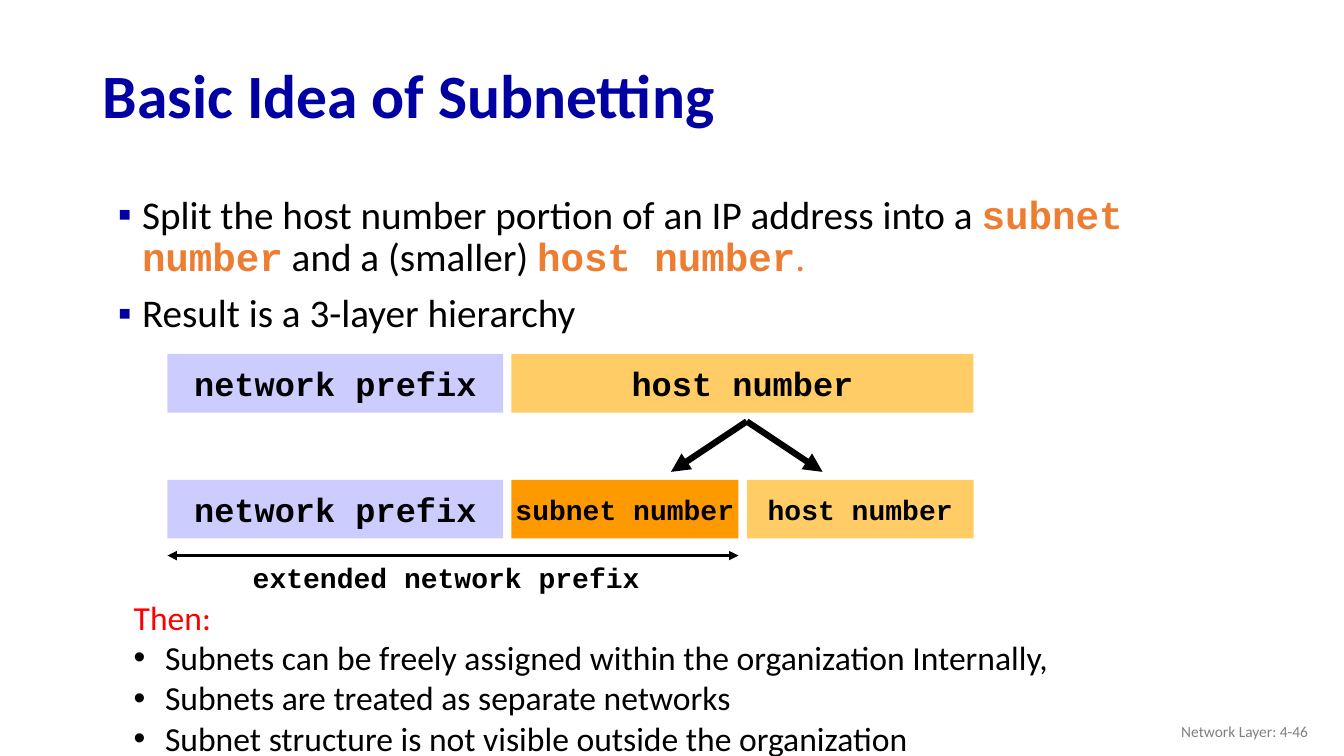
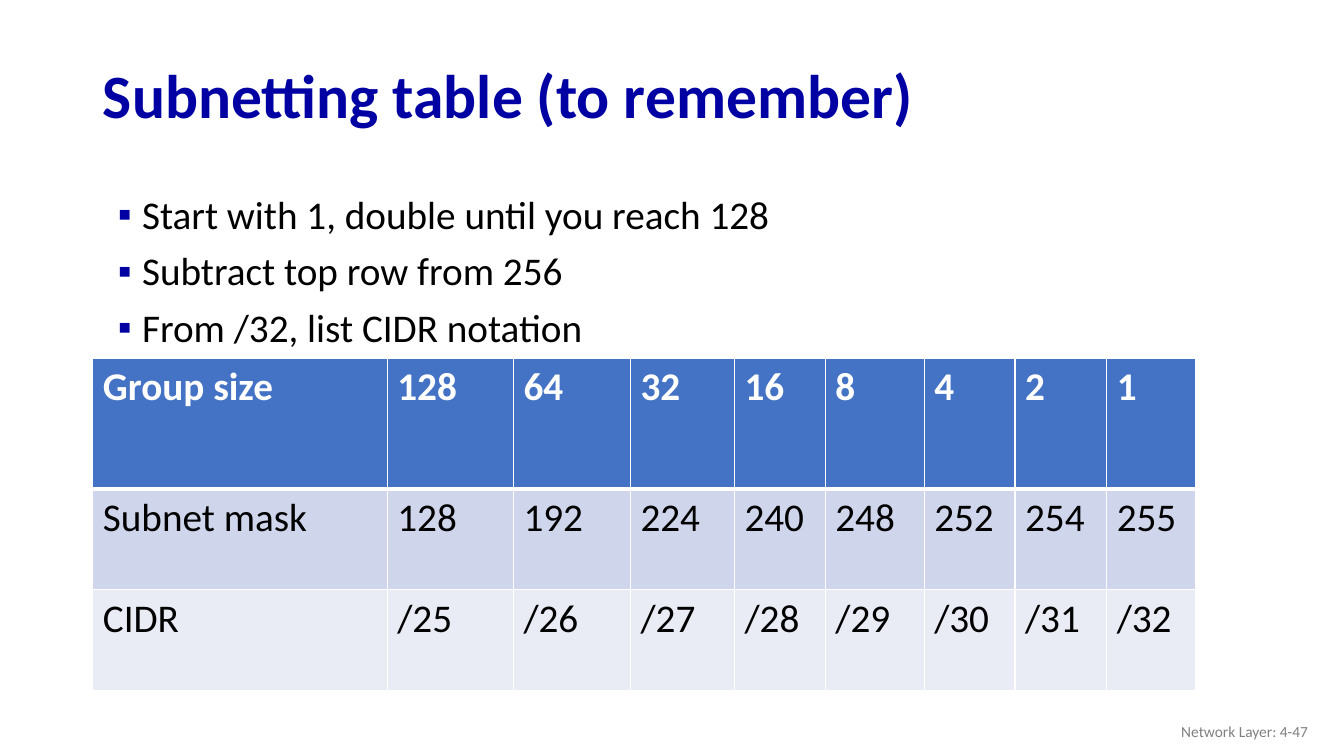
from lxml import etree
from pptx import Presentation
from pptx.dml.color import RGBColor
from pptx.enum.shapes import MSO_CONNECTOR, MSO_SHAPE
from pptx.enum.text import MSO_ANCHOR, MSO_AUTO_SIZE, PP_ALIGN
from pptx.oxml.ns import qn
from pptx.util import Cm, Pt

RECTANGLE = MSO_SHAPE.RECTANGLE
STRAIGHT = MSO_CONNECTOR.STRAIGHT
MIDDLE = MSO_ANCHOR.MIDDLE
LEFT, CENTER, RIGHT = PP_ALIGN.LEFT, PP_ALIGN.CENTER, PP_ALIGN.RIGHT
FIXED_SIZE = MSO_AUTO_SIZE.NONE

NAVY = RGBColor(0x00, 0x00, 0xA3)
BLACK = RGBColor(0x00, 0x00, 0x00)
WHITE = RGBColor(0xFF, 0xFF, 0xFF)
GREY = RGBColor(0x80, 0x80, 0x80)
RED = RGBColor(0xFF, 0x00, 0x00)
ORANGE = RGBColor(0xED, 0x7D, 0x31)
LAVENDER = RGBColor(0xCC, 0xCC, 0xFF)
LIGHT_AMBER = RGBColor(0xFF, 0xCC, 0x66)
AMBER = RGBColor(0xFF, 0x99, 0x00)
HEADER_BLUE = RGBColor(0x44, 0x72, 0xC4)
BAND_DARK = RGBColor(0xCF, 0xD5, 0xEA)
BAND_LIGHT = RGBColor(0xE9, 0xEB, 0xF5)

SANS, MONO = "Calibri", "Courier New"

# Content: each point is a list of (text, font, colour, bold) runs
IDEA_TITLE = "Basic Idea of Subnetting"
IDEA_POINTS = [
    [("Split the host number portion of an IP address into a ", SANS, BLACK, False),
     ("subnet number", MONO, ORANGE, True),
     (" and a (smaller) ", SANS, BLACK, False),
     ("host number", MONO, ORANGE, True),
     (".", SANS, ORANGE, False)],
    [("Result is a 3-layer hierarchy", SANS, BLACK, False)],
]
# Each address row: (top in cm, [(label, width in cm, size, fill)])
ADDRESS_ROWS = [
    (8.92, [("network prefix", 8.46, 24, LAVENDER),
            ("host number", 11.64, 24, LIGHT_AMBER)]),
    (12.09, [("network prefix", 8.46, 24, LAVENDER),
             ("subnet number", 5.72, 20, AMBER),
             ("host number", 5.72, 20, LIGHT_AMBER)]),
]
EXTENDED_LABEL = "extended network prefix"
THEN_LABEL = "Then:"
THEN_POINTS = [
    "Subnets can be freely assigned within the organization Internally,",
    "Subnets are treated as separate networks",
    "Subnet structure is not visible outside the organization",
]

TABLE_TITLE = "Subnetting table (to remember)"
TABLE_POINTS = [
    [(step, SANS, BLACK, False)] for step in (
        "Start with 1, double until you reach 128",
        "Subtract top row from 256",
        "From /32, list CIDR notation")
]
SUBNET_TABLE = [
    ["Group size", "128", "64", "32", "16", "8", "4", "2", "1"],
    ["Subnet mask", "128", "192", "224", "240", "248", "252", "254", "255"],
    ["CIDR", "/25", "/26", "/27", "/28", "/29", "/30", "/31", "/32"],
]
COLUMN_WIDTHS = [7.42, 3.18, 2.95, 2.62, 2.29, 2.49, 2.29, 2.31, 2.24]
# Each table row: (height in cm, fill, text colour, bold)
ROW_STYLES = [(3.3, HEADER_BLUE, WHITE, True),
              (2.54, BAND_DARK, BLACK, False),
              (2.54, BAND_LIGHT, BLACK, False)]

# Geometry in cm
MARGIN, CONTENT_WIDTH = 2.34, 29.21
BAR_LEFT, BAR_HEIGHT, BAR_GAP = 4.22, 1.48, 0.21


def style(font, size, color, name=SANS, bold=False):
    font.size, font.name, font.bold = Pt(size), name, bold
    font.color.rgb = color


def add_bullet(paragraph, char, left, hanging, color):
    props = paragraph._p.get_or_add_pPr()
    props.set("marL", str(Cm(left)))
    props.set("indent", str(-Cm(hanging)))
    bullet_color = etree.SubElement(props, qn("a:buClr"))
    etree.SubElement(bullet_color, qn("a:srgbClr"), val=str(color))
    etree.SubElement(props, qn("a:buFont"), typeface="Arial")
    etree.SubElement(props, qn("a:buChar"), char=char)


def add_text_frame(slide, left, top, width, height):
    frame = slide.shapes.add_textbox(Cm(left), Cm(top), Cm(width), Cm(height)).text_frame
    frame.word_wrap = True
    return frame


def next_paragraph(frame, index):
    return frame.add_paragraph() if index else frame.paragraphs[0]


def add_points(slide, points):
    frame = add_text_frame(slide, MARGIN, 4.8, CONTENT_WIDTH, 12.09)
    for index, runs in enumerate(points):
        paragraph = next_paragraph(frame, index)
        add_bullet(paragraph, "▪", 0.99, 0.61, NAVY)
        paragraph.line_spacing = 0.9
        if index:
            paragraph.space_before = Pt(10)
        style(paragraph.font, 28, BLACK)
        for text, name, color, bold in runs:
            run = paragraph.add_run()
            run.text = text
            if (name, color, bold) != (SANS, BLACK, False):
                style(run.font, 28, color, name, bold)


def add_titled_slide(deck, title, page, points):
    slide = deck.slides.add_slide(deck.slide_layouts[5])
    heading = slide.shapes.title
    heading.left, heading.top = Cm(MARGIN), Cm(1.24)
    heading.width, heading.height = Cm(CONTENT_WIDTH), Cm(2.49)
    frame = heading.text_frame
    frame.text = title
    frame.auto_size = FIXED_SIZE
    frame.vertical_anchor = MIDDLE
    paragraph = frame.paragraphs[0]
    paragraph.alignment, paragraph.line_spacing = LEFT, 0.9
    style(paragraph.font, 44, NAVY, bold=True)

    footer = add_text_frame(slide, 25.6, 17.91, 7.62, 1.02)
    footer.text = f"Network Layer: {page}"
    footer.vertical_anchor = MIDDLE
    footer.paragraphs[0].alignment = RIGHT
    style(footer.paragraphs[0].font, 11, GREY)
    add_points(slide, points)
    return slide


def add_bar(slide, left, top, width, label, size, fill):
    bar = slide.shapes.add_shape(RECTANGLE, Cm(left), Cm(top), Cm(width), Cm(BAR_HEIGHT))
    bar.shadow.inherit = False
    bar.fill.solid()
    bar.fill.fore_color.rgb = fill
    bar.line.fill.background()
    frame = bar.text_frame
    frame.text, frame.word_wrap, frame.vertical_anchor = label, False, MIDDLE
    frame.paragraphs[0].alignment = CENTER
    style(frame.paragraphs[0].font, size, BLACK, MONO, True)


def add_arrow(slide, start, end, weight, ends=("tailEnd",)):
    arrow = slide.shapes.add_connector(STRAIGHT, *(Cm(value) for value in start + end))
    arrow.line.color.rgb = BLACK
    arrow.line.width = Pt(weight)
    line = arrow.line._get_or_add_ln()
    for end_name in ends:
        etree.SubElement(line, qn(f"a:{end_name}"), type="triangle")
    etree.SubElement(arrow._element.spPr, qn("a:effectLst"))


def add_borders(cell, top, bottom):
    props = cell._tc.get_or_add_tcPr()
    for side, weight in (("L", 1), ("R", 1), ("T", top), ("B", bottom)):
        line = etree.SubElement(props, qn(f"a:ln{side}"), w=str(Pt(weight)))
        fill = etree.SubElement(line, qn("a:solidFill"))
        etree.SubElement(fill, qn("a:srgbClr"), val=str(WHITE))


def build_idea_slide(deck):
    slide = add_titled_slide(deck, IDEA_TITLE, "4-46", IDEA_POINTS)

    # Address bars before and after the split
    for top, parts in ADDRESS_ROWS:
        left = BAR_LEFT
        for label, width, size, fill in parts:
            add_bar(slide, left, top, width, label, size, fill)
            left += width + BAR_GAP

    # Split arrows and the span of the extended prefix
    split_parts = ADDRESS_ROWS[1][1]
    span_end = BAR_LEFT + split_parts[0][1] + BAR_GAP + split_parts[1][1]
    split_x = span_end + BAR_GAP
    for reach in (-1.91, 1.91):
        add_arrow(slide, (split_x, 10.62), (split_x + reach, 11.89), 4.5)
    add_arrow(slide, (BAR_LEFT, 14), (span_end, 14), 2.25, ("headEnd", "tailEnd"))
    caption = add_text_frame(slide, 6.12, 14, 10.37, 1.09)
    caption.text = EXTENDED_LABEL
    style(caption.paragraphs[0].font, 20, BLACK, MONO, True)

    # Consequences
    consequences = add_text_frame(slide, 3.12, 14.91, 26.16, 5.13)
    for index, text in enumerate([THEN_LABEL] + THEN_POINTS):
        paragraph = next_paragraph(consequences, index)
        paragraph.text = text
        if index:
            add_bullet(paragraph, "•", 0.79, 0.79, BLACK)
        style(paragraph.font, 24, BLACK if index else RED)


def build_table_slide(deck):
    slide = add_titled_slide(deck, TABLE_TITLE, "4-47", TABLE_POINTS)
    table = slide.shapes.add_table(
        len(SUBNET_TABLE), len(COLUMN_WIDTHS), Cm(MARGIN), Cm(9.02),
        Cm(sum(COLUMN_WIDTHS)), Cm(sum(row[0] for row in ROW_STYLES))).table
    for column, width in zip(table.columns, COLUMN_WIDTHS):
        column.width = Cm(width)
    for index, (values, row_style) in enumerate(zip(SUBNET_TABLE, ROW_STYLES)):
        height, fill, color, bold = row_style
        table.rows[index].height = Cm(height)
        for cell, value in zip(table.rows[index].cells, values):
            add_borders(cell, 3 if index == 1 else 1, 3 if index == 0 else 1)
            cell.fill.solid()
            cell.fill.fore_color.rgb = fill
            cell.text = value
            style(cell.text_frame.paragraphs[0].font, 28, color, bold=bold)


def main():
    deck = Presentation()
    deck.slide_width, deck.slide_height = Cm(33.87), Cm(19.05)
    build_idea_slide(deck)
    build_table_slide(deck)
    deck.save("out.pptx")


if __name__ == "__main__":
    main()
